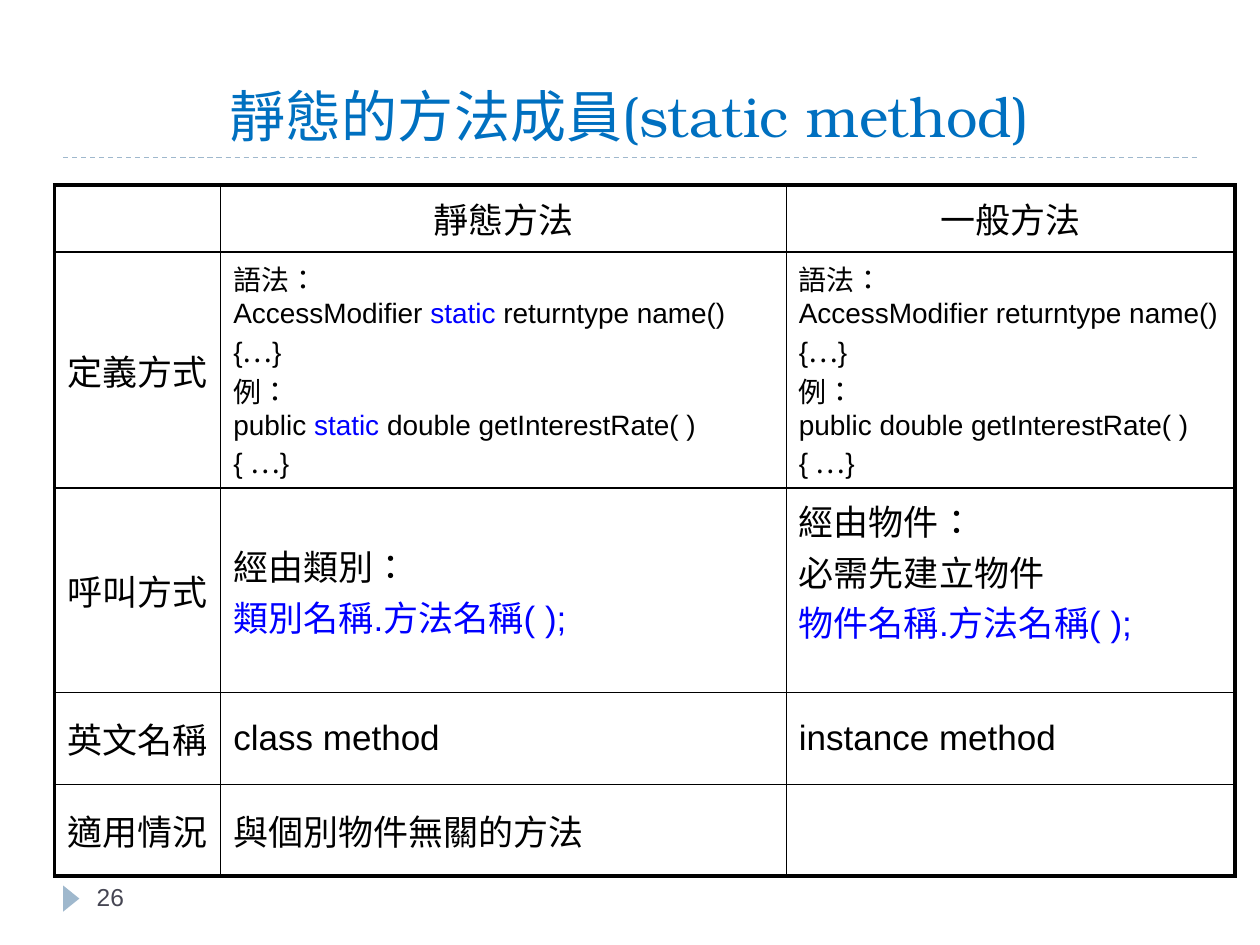
from copy import deepcopy

from lxml import etree
from pptx import Presentation
from pptx.dml.color import RGBColor
from pptx.enum.dml import MSO_LINE
from pptx.enum.lang import MSO_LANGUAGE_ID
from pptx.enum.shapes import MSO_CONNECTOR, MSO_SHAPE
from pptx.enum.text import MSO_ANCHOR, PP_ALIGN
from pptx.oxml.ns import qn
from pptx.util import Cm, Pt

LEFT, CENTER = PP_ALIGN.LEFT, PP_ALIGN.CENTER
TOP, MIDDLE, BOTTOM = MSO_ANCHOR.TOP, MSO_ANCHOR.MIDDLE, MSO_ANCHOR.BOTTOM
STRAIGHT, TRIANGLE, DASH = MSO_CONNECTOR.STRAIGHT, MSO_SHAPE.ISOSCELES_TRIANGLE, MSO_LINE.DASH
CHINESE = MSO_LANGUAGE_ID.TRADITIONAL_CHINESE

BODY_FONT, CJK_FONT, TITLE_FONT = "Arial", "Noto Sans CJK SC", "TeX Gyre Bonum"
BLACK, BLUE, TITLE_BLUE, ACCENT, GRAY = "000000", "0000FF", "0070C0", "9FB8CD", "464653"
THIN, THICK = 1, 2.25

# Table content: a cell is a string or a list of (text, format) runs
DOTS = ("…", {"font": CJK_FONT})
STATIC = ("static", {"color": BLUE})
HEADER = ["", "靜態方法", "一般方法"]
STATIC_SYNTAX = [
    ("語法：\nAccessModifier ", {}), STATIC, (" returntype name() {", {}), DOTS,
    ("}\n例：\npublic ", {}), STATIC, (" double getInterestRate( )\n{ ", {}), DOTS, ("}", {})]
GENERAL_SYNTAX = [
    ("語法：\nAccessModifier returntype name() {", {}), DOTS,
    ("}\n例：\npublic double getInterestRate( )\n{ ", {}), DOTS, ("}", {})]
STATIC_CALL = [("經由類別：\n", {}), ("類別名稱.方法名稱( );", {"color": BLUE})]
GENERAL_CALL = [("經由物件：\n必需先建立物件\n", {}), ("物件名稱.方法名稱( );\n", {"color": BLUE})]
COMPARISON = [
    HEADER,
    ["定義方式", STATIC_SYNTAX, GENERAL_SYNTAX],
    ["呼叫方式", STATIC_CALL, GENERAL_CALL],
    ["英文名稱", "class method", "instance method"],
    ["適用情況", "與個別物件無關的方法", ""],
]
COLUMN_WIDTHS = [3.35, 11.4, 9.05]
ROW_HEIGHTS = [1.35, 4.76, 4.12, 1.85, 1.85]


def rgb(color):
    return RGBColor.from_string(color)


def add_run(paragraph, text, size=20, font=BODY_FONT, color=BLACK):
    """Add text in one format, with each newline as a line break."""
    for i, line in enumerate(text.split("\n")):
        if i:
            paragraph.add_line_break()
            paragraph._p[-1].append(deepcopy(properties))
        run = paragraph.add_run()
        run.text = line
        run.font.size, run.font.name = Pt(size), font
        run.font.color.rgb = rgb(color)
        run.font.language_id = CHINESE
        properties = run._r.get_or_add_rPr()
        etree.SubElement(properties, qn("a:ea"), typeface=CJK_FONT)
        if not line:
            paragraph._p.remove(run._r)


def add_text(slide, box, text, align=LEFT, anchor=TOP, **style):
    frame = slide.shapes.add_textbox(*(Cm(v) for v in box)).text_frame
    frame.word_wrap, frame.vertical_anchor = True, anchor
    frame.paragraphs[0].alignment = align
    add_run(frame.paragraphs[0], text, **style)


def add_rule(slide, left, top, width):
    rule = slide.shapes.add_connector(STRAIGHT, Cm(left), Cm(top), Cm(left + width), Cm(top))
    rule.line.color.rgb = rgb(ACCENT)
    rule.line.width, rule.line.dash_style = Pt(0.75), DASH
    etree.SubElement(rule._element.spPr, qn("a:effectLst"))


def set_borders(cell, widths):
    properties = cell._tc.get_or_add_tcPr()
    for i, (side, width) in enumerate(widths.items()):
        border = etree.Element(qn(f"a:ln{side}"), w=str(Pt(width)))
        fill = etree.SubElement(border, qn("a:solidFill"))
        etree.SubElement(fill, qn("a:srgbClr"), val=BLACK)
        properties.insert(i, border)


def add_title(slide, box):
    left, top, width, height = box
    add_text(slide, box, "靜態的方法成員(static method)", align=CENTER, anchor=BOTTOM,
             size=32, font=TITLE_FONT, color=TITLE_BLUE)
    add_rule(slide, left, top + height + 0.05, width)


def add_comparison(slide, box):
    last_row, last_column = len(ROW_HEIGHTS) - 1, len(COLUMN_WIDTHS) - 1
    table = slide.shapes.add_table(last_row + 1, last_column + 1, *(Cm(v) for v in box)).table
    table.first_row = table.horz_banding = False
    for column, width in zip(table.columns, COLUMN_WIDTHS):
        column.width = Cm(width)
    for r, (contents, height) in enumerate(zip(COMPARISON, ROW_HEIGHTS)):
        table.rows[r].height = Cm(height)
        for c, content in enumerate(contents):
            cell = table.cell(r, c)
            cell.fill.background()
            cell.vertical_anchor = MIDDLE
            # Thick outer frame, thin inner grid
            set_borders(cell, {
                "L": THIN if c else THICK,
                "R": THICK if c == last_column else THIN,
                "T": THIN if r else THICK,
                "B": THICK if r == last_row else THIN})
            if not content:
                continue
            size = 16 if r == 1 and c else 20
            paragraph = cell.text_frame.paragraphs[0]
            paragraph.alignment = LEFT if r else CENTER
            paragraph.space_before = Pt(size * 0.2)
            runs = [(content, {})] if isinstance(content, str) else content
            for text, style in runs:
                add_run(paragraph, text, size=size, **style)


def add_footer(slide, box):
    left, top, width, height = box
    add_rule(slide, left, top, width)
    # Page marker pointing at the number
    marker = slide.shapes.add_shape(TRIANGLE, Cm(left - 0.1), Cm(top + 0.3), Cm(0.53), Cm(0.33))
    marker.rotation = 90
    marker.shadow.inherit = False
    marker.fill.solid()
    marker.fill.fore_color.rgb = rgb(ACCENT)
    marker.line.fill.background()
    add_text(slide, (left + 0.43, top, 5.5, height), "26", size=14, color=GRAY)


def main():
    deck = Presentation()
    deck.slide_width, deck.slide_height = Cm(25.4), Cm(19.05)
    slide = deck.slides.add_slide(deck.slide_layouts[6])
    add_footer(slide, (1.27, 17.65, 22.86, 1))
    add_title(slide, (1.27, 0.76, 22.86, 2.36))
    add_comparison(slide, (1.1, 3.73, sum(COLUMN_WIDTHS), sum(ROW_HEIGHTS)))
    deck.save("out.pptx")


if __name__ == "__main__":
    main()
